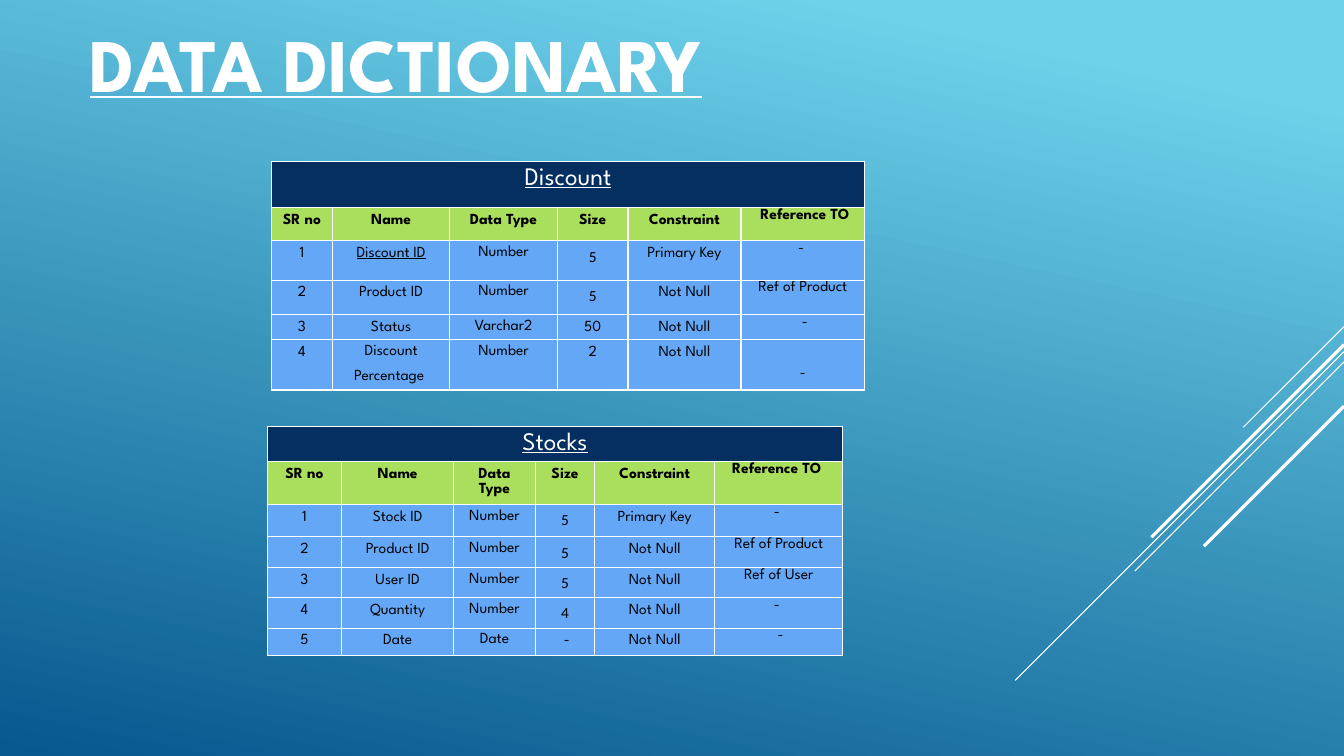
from dataclasses import dataclass

from lxml import etree
from pptx import Presentation
from pptx.dml.color import RGBColor
from pptx.enum.shapes import MSO_CONNECTOR
from pptx.enum.text import MSO_ANCHOR, MSO_AUTO_SIZE, PP_ALIGN
from pptx.oxml.ns import qn
from pptx.util import Inches, Pt

STRAIGHT = MSO_CONNECTOR.STRAIGHT
MIDDLE = MSO_ANCHOR.MIDDLE
FIXED_SIZE = MSO_AUTO_SIZE.NONE
CENTER = PP_ALIGN.CENTER
TITLE_ONLY = 5


@dataclass(frozen=True)
class Theme:
    font: str = "League Spartan"
    digit_font: str = "Calibri"
    white: str = "FFFFFF"
    black: str = "000000"
    navy: str = "052F61"
    green: str = "AADF5E"
    blue: str = "64A7F7"
    sky: str = "6ED2EB"
    deep: str = "06588E"
    title_size: int = 54
    caption_size: int = 18
    body_size: int = 11


def write(frame, text, *, font, size, color, bold=False, underline=False,
          spacing=None, after=0):
    for index, line in enumerate(text.split("\n")):
        paragraph = frame.add_paragraph() if index else frame.paragraphs[0]
        paragraph.alignment = CENTER
        paragraph.space_after = Pt(after)
        if spacing:
            paragraph.line_spacing = spacing
        run = paragraph.add_run()
        run.text = line
        run.font.name = font
        run.font.size = Pt(size)
        run.font.bold = bold
        run.font.underline = underline
        run.font.color.rgb = RGBColor.from_string(color)


class DictionarySlide:
    def __init__(self, deck, theme):
        self.theme = theme
        self.width, self.height = deck.slide_width, deck.slide_height
        self.slide = deck.slides.add_slide(deck.slide_layouts[TITLE_ONLY])

    def x(self, percent):
        return round(self.width * percent / 100)

    def y(self, percent):
        return round(self.height * percent / 100)

    def background(self):
        fill = self.slide.background.fill
        fill.gradient()
        fill.gradient_angle = 258
        stops = ((0.1, self.theme.sky), (1, self.theme.deep))
        for stop, (position, color) in zip(fill.gradient_stops, stops):
            stop.position = position
            stop.color.rgb = RGBColor.from_string(color)

    def title(self, text, left, top, width, height):
        heading = self.slide.shapes.title
        heading.left, heading.top = self.x(left), self.y(top)
        heading.width, heading.height = self.x(width), self.y(height)
        frame = heading.text_frame
        frame.word_wrap = True
        frame.auto_size = FIXED_SIZE
        frame.vertical_anchor = MIDDLE
        write(frame, text, font=self.theme.font, size=self.theme.title_size,
              color=self.theme.white, bold=True, underline=True)

    def diagonal(self, start, length, weight):
        top, reach = self.y(start), self.y(length)
        streak = self.slide.shapes.add_connector(
            STRAIGHT, self.width, top, self.width - reach, top + reach)
        streak.line.color.rgb = RGBColor.from_string(self.theme.white)
        streak.line.width = Pt(weight)
        etree.SubElement(streak._element.spPr, qn("a:effectLst"))

    def style_cell(self, cell, color):
        properties = cell._tc.get_or_add_tcPr()
        for side in ("lnL", "lnR", "lnT", "lnB"):
            border = etree.SubElement(properties, qn(f"a:{side}"), w=str(Pt(1)))
            solid = etree.SubElement(border, qn("a:solidFill"))
            etree.SubElement(solid, qn("a:srgbClr"), val=self.theme.white)
        cell.fill.solid()
        cell.fill.fore_color.rgb = RGBColor.from_string(color)

    def dictionary(self, caption, header, fields, *, box, columns, rows,
                   digit_rows, key="", lowered=""):
        theme = self.theme
        left, top, width, height = box
        table = self.slide.shapes.add_table(
            len(rows), len(columns), self.x(left), self.y(top),
            self.x(width), self.y(height)).table
        for column, share in zip(table.columns, columns):
            column.width = round(self.x(width) * share / sum(columns))
        for row, share in zip(table.rows, rows):
            row.height = round(self.y(height) * share / sum(rows))

        for cell in table.rows[0].cells:
            self.style_cell(cell, theme.navy)
        table.cell(0, 0).merge(table.cell(0, len(columns) - 1))
        write(table.cell(0, 0).text_frame, caption, font=theme.font,
              size=theme.caption_size, color=theme.white, underline=True,
              spacing=1.07, after=8)

        last = len(columns) - 1
        for r, entries in enumerate([header, *fields], start=1):
            is_header = r == 1
            for c, entry in enumerate(entries):
                cell = table.cell(r, c)
                self.style_cell(cell, theme.green if is_header else theme.blue)
                if c == last:
                    cell.margin_left = cell.margin_right = 0
                    cell.margin_top = cell.margin_bottom = 0
                    if entries[0] == lowered:
                        cell.margin_top = Inches(0.26)
                is_digit = c == 3 and 1 < r <= digit_rows + 1
                is_type = c == 2 and not is_header
                is_wrapped = "\n" in entry
                write(cell.text_frame, entry,
                      font=theme.digit_font if is_digit else theme.font,
                      size=theme.body_size, color=theme.black, bold=is_header,
                      underline=entry == key,
                      spacing=None if is_type or is_wrapped else 1.07,
                      after=0 if is_type else 8)


def main():
    deck = Presentation()
    deck.slide_width, deck.slide_height = Inches(13.33), Inches(7.5)
    page = DictionarySlide(deck, Theme())
    page.background()
    for start, length, weight in (
            (43.2, 13.33, 0.75), (46.53, 43.47, 0.75), (47.87, 27.67, 0.75),
            (45.6, 25.47, 2.25), (53.73, 18.53, 2.25)):
        page.diagonal(start, length, weight)
    page.title("DATA DICTIONARY", -5.78, 1.2, 70.52, 14)

    labels = ("SR no", "Name", "Data Type", "Size", "Constraint")
    page.dictionary(
        "Stocks", (*labels, "Reference TO "),
        [("1", "Stock ID", "Number", "5", "Primary Key", "- "),
         ("2", "Product ID", "Number", "5", "Not Null", "Ref of Product"),
         ("3", "User ID", "Number", "5", "Not Null", "Ref of User"),
         ("4", "Quantity", "Number", "4", "Not Null", "- "),
         ("5", "Date", "Date", " -", "Not Null", " -")],
        box=(19.88, 56.4, 42.83, 30.13),
        columns=(74, 111, 81, 59, 119, 127),
        rows=(34, 43, 32, 30, 30, 30, 27), digit_rows=4)
    page.dictionary(
        "Discount", (*labels, " Reference TO"),
        [("1", "Discount ID", "Number", "5", "Primary Key", "- "),
         ("2", "Product ID", "Number", "5", "Not Null", "Ref of Product"),
         ("3", "Status", "Varchar2", "50", "Not Null", " -"),
         ("4", "Discount\nPercentage ", "Number", "2", "Not Null", "-")],
        box=(20.18, 21.33, 44.18, 30.27),
        columns=(61, 116, 107, 70, 112, 123),
        rows=(46, 33, 39, 34, 25, 50), digit_rows=2,
        key="Discount ID", lowered="4")
    deck.save("out.pptx")


if __name__ == "__main__":
    main()
